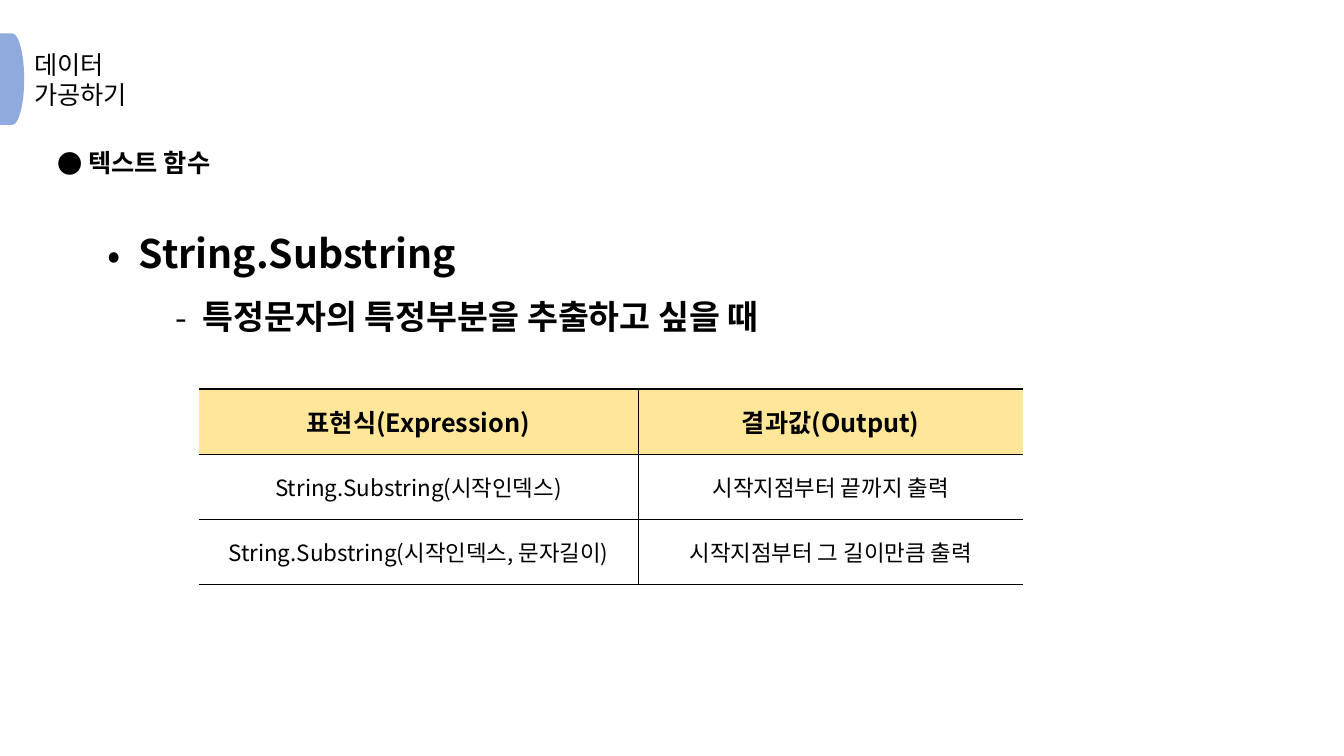
from lxml import etree
from pptx import Presentation
from pptx.dml.color import RGBColor
from pptx.enum import shapes, text
from pptx.oxml import ns
from pptx.util import Inches, Pt

FONT = "Noto Sans CJK KR"
BLACK = RGBColor(0x00, 0x00, 0x00)
TAB_BLUE = RGBColor(0x8F, 0xAA, 0xDC)
HEADER_YELLOW = RGBColor(0xFF, 0xE6, 0x99)

TITLE_LINES = ["데이터", "가공하기"]
TOPICS = [
    ("텍스트 함수", 18, "●", 0.31, 0.31, 0),
    ("String.Substring", 28, "•", 0.81, 0.31, 20),
    ("특정문자의 특정부분을 추출하고 싶을 때", 24, "-", 1.44, 0.27, 0),
]
EXPRESSIONS = [
    ("표현식(Expression)", "결과값(Output)"),
    ("String.Substring(시작인덱스)", "시작지점부터 끝까지 출력"),
    ("String.Substring(시작인덱스, 문자길이)", "시작지점부터 그 길이만큼 출력"),
]


def style(paragraph, size, bold=False):
    for run in paragraph.runs:
        run.font.size = Pt(size)
        run.font.bold = bold
        run.font.name = FONT
        run.font.color.rgb = BLACK
        east_asian = etree.SubElement(run.font._element, ns.qn("a:ea"))
        east_asian.set("typeface", FONT)


def set_bullet(paragraph, mark, left, hanging):
    properties = paragraph._p.get_or_add_pPr()
    properties.set("marL", str(Inches(left)))
    properties.set("indent", str(-Inches(hanging)))
    bullet_font = etree.SubElement(properties, ns.qn("a:buFont"))
    bullet_font.set("typeface", FONT)
    etree.SubElement(properties, ns.qn("a:buChar")).set("char", mark)


def set_borders(cell, sides):
    properties = cell._tc.get_or_add_tcPr()
    for position, side in enumerate("LRTB"):
        line = etree.Element(ns.qn(f"a:ln{side}"), w=str(Pt(1)))
        if side in sides:
            fill = etree.SubElement(line, ns.qn("a:solidFill"))
            etree.SubElement(fill, ns.qn("a:srgbClr")).set("val", str(BLACK))
        else:
            etree.SubElement(line, ns.qn("a:noFill"))
        properties.insert(position, line)


def add_text_frame(slide, left, top, width, height):
    frame = slide.shapes.add_textbox(
        Inches(left), Inches(top), Inches(width), Inches(height)
    ).text_frame
    frame.word_wrap = False
    frame.auto_size = text.MSO_AUTO_SIZE.SHAPE_TO_FIT_TEXT
    return frame


def add_heading(slide, left, top, width, height):
    tab_width = 0.24
    tab = slide.shapes.add_shape(
        shapes.MSO_SHAPE.FLOWCHART_DELAY,
        Inches(left), Inches(top), Inches(tab_width), Inches(height),
    )
    tab.shadow.inherit = False
    tab.fill.solid()
    tab.fill.fore_color.rgb = TAB_BLUE
    tab.line.fill.background()

    title = add_text_frame(
        slide, left + tab_width, top + 0.1, width - tab_width, height - 0.2
    )
    title.vertical_anchor = text.MSO_ANCHOR.MIDDLE
    title.text = "\n".join(TITLE_LINES)
    for paragraph in title.paragraphs:
        style(paragraph, 18)


def add_topics(slide, left, top, width, height):
    outline = add_text_frame(slide, left, top, width, height)
    outline.text = "\n".join(topic[0] for topic in TOPICS)
    for paragraph, topic in zip(outline.paragraphs, TOPICS):
        _, size, mark, indent, hanging, gap = topic
        paragraph.line_spacing = 1.5
        paragraph.space_before = Pt(gap)
        set_bullet(paragraph, mark, indent, hanging)
        style(paragraph, size, bold=True)


def add_expressions(slide, left, top, width, height):
    table = slide.shapes.add_table(
        len(EXPRESSIONS), 2, Inches(left), Inches(top), Inches(width), Inches(height)
    ).table
    table.horz_banding = False
    expression_width = 4.36
    table.columns[0].width = Inches(expression_width)
    table.columns[1].width = Inches(width - expression_width)
    for row, entries in enumerate(EXPRESSIONS):
        is_header = row == 0
        for column, entry in enumerate(entries):
            cell = table.cell(row, column)
            cell.text = entry
            cell.vertical_anchor = text.MSO_ANCHOR.MIDDLE
            paragraph = cell.text_frame.paragraphs[0]
            paragraph.alignment = text.PP_ALIGN.CENTER
            style(paragraph, 18 if is_header else 16, bold=is_header)
            if is_header:
                cell.fill.solid()
                cell.fill.fore_color.rgb = HEADER_YELLOW
            else:
                cell.fill.background()
            set_borders(cell, "RTB" if column == 0 else "LTB")


def main():
    deck = Presentation()
    deck.slide_width = Inches(13.33)
    deck.slide_height = Inches(7.5)
    slide = deck.slides.add_slide(deck.slide_layouts[6])
    add_heading(slide, 0, 0.33, 1.39, 0.91)
    add_topics(slide, 0.47, 1.26, 7.42, 2.34)
    add_expressions(slide, 1.97, 3.86, 8.18, 1.94)
    deck.save("out.pptx")


if __name__ == "__main__":
    main()
